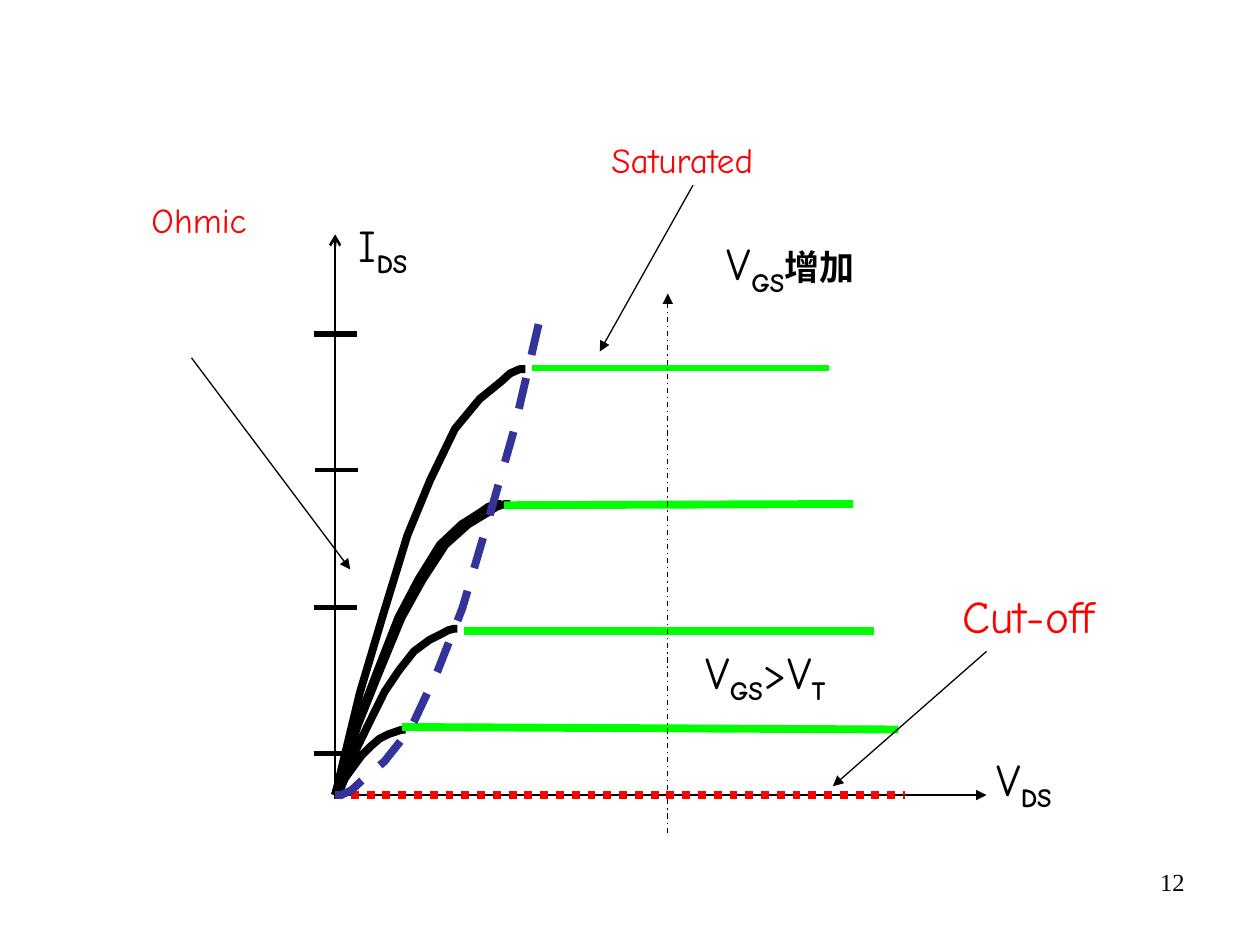
from typing import NamedTuple, Optional

from lxml import etree
from pptx import Presentation
from pptx.dml.color import RGBColor
from pptx.enum.dml import MSO_LINE
from pptx.enum.shapes import MSO_CONNECTOR, MSO_SHAPE
from pptx.enum.text import MSO_ANCHOR, PP_ALIGN
from pptx.oxml.ns import qn
from pptx.util import Inches, Pt

BLACK = RGBColor(0x00, 0x00, 0x00)
WHITE = RGBColor(0xFF, 0xFF, 0xFF)
RED = RGBColor(0xFF, 0x00, 0x00)
GREEN = RGBColor(0x00, 0xFF, 0x00)
NAVY = RGBColor(0x33, 0x33, 0x99)
LABEL_FONT = "Comic Neue"
NUMBER_FONT = "Times New Roman"

Point = tuple[float, float]
Box = tuple[float, float, float, float]
ORIGIN: Point = (2.66, 6.31)

# Shared parabola: (distance from apex, drop from apex) as fractions
PARABOLA = [(0, 0), (0.03, 0), (0.08, 0.01), (0.13, 0.03), (0.24, 0.07),
            (0.37, 0.14), (0.5, 0.26), (0.62, 0.39), (0.75, 0.58),
            (0.87, 0.76), (1, 1)]


class Line(NamedTuple):
    start: Point
    end: Point
    color: RGBColor = BLACK
    width: float = 0.75
    dash: Optional[MSO_LINE] = None
    arrow: Optional[str] = None


class Curve(NamedTuple):
    apex: Point
    end: Point = ORIGIN
    color: RGBColor = BLACK
    dash: Optional[MSO_LINE] = None


class Run(NamedTuple):
    text: str
    size: float = 26
    bold: bool = False
    subscript: bool = False


class Label(NamedTuple):
    box: Box
    runs: list[Run]
    align: PP_ALIGN = PP_ALIGN.CENTER
    color: RGBColor = BLACK
    font: str = LABEL_FONT
    callout: Optional[list[float]] = None


def sub(text: str) -> Run:
    return Run(text, bold=True, subscript=True)


def style_line(fmt, color: RGBColor, width: float, dash: Optional[MSO_LINE]) -> None:
    fmt.color.rgb = color
    fmt.width = Pt(width)
    if dash is not None:
        fmt.dash_style = dash


def draw_line(shapes, line: Line) -> None:
    connector = shapes.add_connector(
        MSO_CONNECTOR.STRAIGHT, *map(Inches, line.start + line.end))
    style_line(connector.line, line.color, line.width, line.dash)
    properties = connector._element.spPr
    if line.arrow:
        etree.SubElement(properties.find(qn("a:ln")), qn("a:tailEnd"), type=line.arrow)
    etree.SubElement(properties, qn("a:effectLst"))


def draw_curve(shapes, curve: Curve) -> None:
    (x0, y0), (x1, y1) = curve.apex, curve.end
    points = [(Inches(x0 + (x1 - x0) * u), Inches(y0 + (y1 - y0) * v))
              for u, v in PARABOLA]
    builder = shapes.build_freeform(*points[0])
    builder.add_line_segments(points[1:], close=False)
    shape = builder.convert_to_shape()
    shape.shadow.inherit = False
    shape.fill.background()
    style_line(shape.line, curve.color, 4.5, curve.dash)


def draw_label(shapes, label: Label) -> None:
    box = [Inches(value) for value in label.box]
    if label.callout:
        shape = shapes.add_shape(MSO_SHAPE.LINE_CALLOUT_1, *box)
        for index, value in enumerate(label.callout):
            shape.adjustments[index] = value
        shape.shadow.inherit = False
        shape.fill.solid()
        shape.fill.fore_color.rgb = WHITE
        shape.line.fill.background()
    else:
        shape = shapes.add_textbox(*box)
    frame = shape.text_frame
    frame.word_wrap = True
    frame.vertical_anchor = MSO_ANCHOR.TOP
    paragraph = frame.paragraphs[0]
    paragraph.alignment = label.align
    for part in label.runs:
        run = paragraph.add_run()
        run.text = part.text
        run.font.name = label.font
        run.font.size = Pt(part.size)
        run.font.bold = part.bold
        run.font.color.rgb = label.color
        if part.subscript:
            run.font._element.set("baseline", "-25000")


AXES = [
    Line((2.66, 6.34), (2.66, 1.86), width=1.5, arrow="arrow"),
    Line((2.65, 6.31), (7.83, 6.31), arrow="triangle"),
]
TICKS = [Line((x, y), (x + 0.34, y), width=width)
         for x, y, width in [(2.49, 2.65, 3), (2.5, 3.73, 2.25),
                             (2.49, 4.82, 3), (2.49, 5.98, 3)]]
OHMIC_CURVES = [
    Curve((4.17, 2.93)),
    Curve((3.98, 4)),
    Curve((4.05, 4)),
    Curve((3.63, 4.99), end=(2.7, 6.27)),
    Curve((3.22, 5.79)),
]
SATURATED_LINES = [
    Line((4.22, 2.92), (6.58, 2.92), GREEN, 3),
    Line((4, 4.01), (6.77, 4), GREEN, 4.5),
    Line((3.68, 5.01), (6.94, 5.01), GREEN, 4.5),
    Line((3.19, 5.77), (7.13, 5.79), GREEN, 4.5),
]
GATE_VOLTAGE_ARROW = Line((5.3, 6.61), (5.3, 2.33), dash=MSO_LINE.DASH_DOT,
                          arrow="triangle")
CUTOFF_LINE = Line(ORIGIN, (7.18, 6.31), RED, 4.5, MSO_LINE.ROUND_DOT)
BOUNDARY = Curve(ORIGIN, (4.29, 2.51), NAVY, MSO_LINE.DASH)
POINTERS = [
    Line((7.83, 5.17), (6.61, 6.24), arrow="triangle"),
    Line((5.5, 1.47), (4.76, 2.79), arrow="triangle"),
    Line((1.52, 2.84), (2.78, 4.52), arrow="triangle"),
]
LABELS = [
    Label((7.81, 5.91, 1.26, 0.7), [Run("V"), sub("DS")], PP_ALIGN.LEFT),
    Label((2.53, 1.67, 1.02, 0.7), [Run("I"), sub("DS")]),
    Label((5.36, 5.06, 1.43, 0.7), [Run("V"), sub("GS"), Run(">V"), sub("T")]),
    Label((5.42, 1.82, 1.71, 0.7),
          [Run("V"), sub("GS"), Run("增加", size=20, bold=True)]),
    Label((7.32, 4.62, 1.81, 0.6), [Run("Cut-off ")], color=RED),
    Label((0.82, 1.53, 1.52, 0.49), [Run("Ohmic", size=20)], color=RED,
          callout=[1.06, 0.44, 7, 1.26]),
    Label((4.38, 1.05, 2.07, 0.49), [Run("Saturated", size=20)], color=RED,
          callout=[1.18, 0.1, 4.58, -0.27]),
    Label((7.17, 6.83, 2.33, 0.52), [Run("12", size=14)], PP_ALIGN.RIGHT,
          font=NUMBER_FONT),
]


def main() -> None:
    deck = Presentation()
    deck.slide_width, deck.slide_height = Inches(10), Inches(7.5)
    shapes = deck.slides.add_slide(deck.slide_layouts[6]).shapes

    # Axes and characteristic curves
    for line in AXES + TICKS:
        draw_line(shapes, line)
    for curve in OHMIC_CURVES:
        draw_curve(shapes, curve)

    # Saturation, gate voltage, cut-off and region boundary
    for line in SATURATED_LINES + [GATE_VOLTAGE_ARROW, CUTOFF_LINE]:
        draw_line(shapes, line)
    draw_curve(shapes, BOUNDARY)

    # Labels and their pointers
    for label in LABELS:
        draw_label(shapes, label)
    for line in POINTERS:
        draw_line(shapes, line)

    deck.save("out.pptx")


main()
